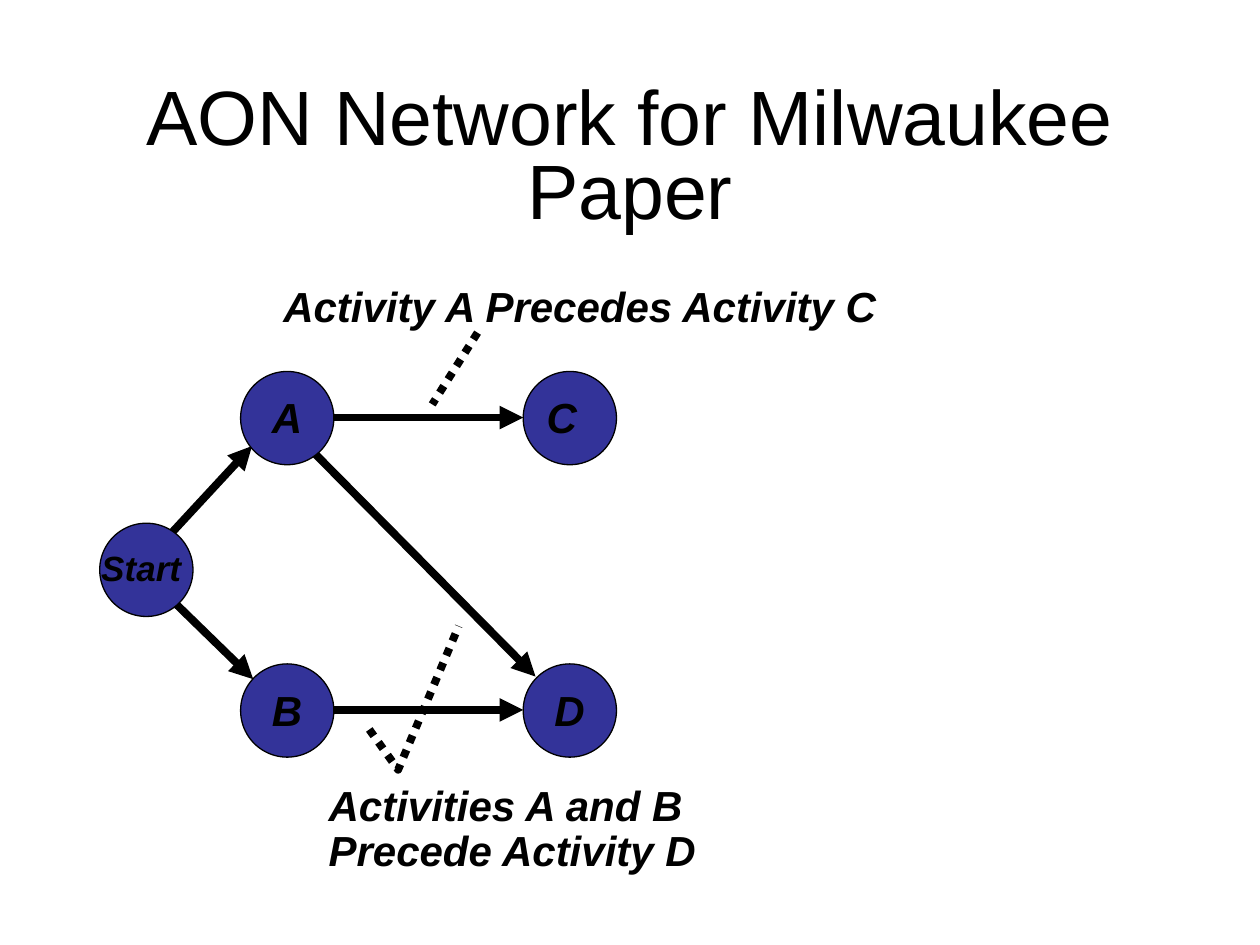
"""Build the activity-on-node network slide for Milwaukee Paper."""
from lxml import etree
from pptx import Presentation
from pptx.dml.color import RGBColor
from pptx.enum.dml import MSO_LINE
from pptx.enum.shapes import MSO_CONNECTOR, MSO_SHAPE
from pptx.enum.text import MSO_ANCHOR, PP_ALIGN
from pptx.oxml.ns import qn
from pptx.util import Pt

DOTTED = MSO_LINE.ROUND_DOT
STRAIGHT = MSO_CONNECTOR.STRAIGHT
ELLIPSE = MSO_SHAPE.OVAL
TOP, MIDDLE = MSO_ANCHOR.TOP, MSO_ANCHOR.MIDDLE
LEFT, CENTER = PP_ALIGN.LEFT, PP_ALIGN.CENTER

THEME = {
    "ink": RGBColor(0x00, 0x00, 0x00),
    "node": RGBColor(0x33, 0x33, 0x99),
    "font": "Arial",
    "title": 44,
    "label": 24,
    "start": 20,
    "arrow": 4.5,
    "outline": 0.75,
}
LABEL = {"size": Pt(THEME["label"]), "bold": True, "italic": True}
START = {**LABEL, "size": Pt(THEME["start"])}
TITLE = {"size": Pt(THEME["title"])}

DIAMETER = 53.3
COLUMNS = {"start": 57, "first": 137.5, "second": 299}
ROWS = {"upper": 212.3, "centre": 299, "lower": 379.4}

# name, column, row, label offset and size, wrap, format
NODES = [
    ("C", "second", "upper", (6.3, 8, 40.3, 36.7), True, LABEL),
    ("D", "second", "lower", (10.8, 8, 31.7, 36), False, LABEL),
    ("A", "first", "upper", (10.8, 8, 31.7, 36), False, LABEL),
    ("Start", "start", "centre", (-6.2, 10, 74.9, 31.7), True, START),
    ("B", "first", "lower", (10.8, 8, 31.7, 36), False, LABEL),
]
ARROWS = [
    ((179.3, 238.6), (299, 238.6)),
    ((172.8, 252), (306, 386.6)),
    ((178.6, 405.7), (299, 405.7)),
    ((91.4, 336.2), (144.7, 388.1)),
    ((90.7, 312.5), (144, 254.9)),
]
UPPER_POINTER = ((272.9, 190.1), (247, 231.1))
LOWER_POINTER = [(211, 416.9), (227.5, 439.9), (262.1, 357.8)]

# text, place, wrap, format, alignment, anchor, line spacing
TEXTS = [
    ("AON Network for Milwaukee Paper", (74.2, 36, 571.7, 110.9), True, TITLE, CENTER, MIDDLE, 0.8),
    ("Activity A Precedes Activity C", (154.8, 157, 356.4, 36), False, LABEL, LEFT, TOP, 1.0),
    ("Activities A and B Precede Activity D", (180.7, 445, 257, 59), True, LABEL, LEFT, TOP, 0.9),
]


def add_text(page, text, place, wrap, style, align=LEFT, anchor=TOP, spacing=1.0):
    box = page.shapes.add_textbox(*map(Pt, place))
    frame = box.text_frame
    frame.word_wrap = wrap
    frame.vertical_anchor = anchor
    para = frame.paragraphs[0]
    para.alignment = align
    para.line_spacing = spacing
    span = para.add_run()
    span.text = text
    span.font.name = THEME["font"]
    span.font.color.rgb = THEME["ink"]
    for key, value in style.items():
        setattr(span.font, key, value)


def set_line(shape, width, dash=None):
    shape.line.color.rgb = THEME["ink"]
    shape.line.width = Pt(width)
    if dash:
        shape.line.dash_style = dash


def add_line(page, start, end, dash=None, arrow=False):
    line = page.shapes.add_connector(STRAIGHT, *map(Pt, start + end))
    set_line(line, THEME["arrow"], dash)
    properties = line._element.spPr
    if arrow:
        etree.SubElement(properties.find(qn("a:ln")), qn("a:tailEnd"), type="triangle")
    etree.SubElement(properties, qn("a:effectLst"))


def add_node(page, name, column, row, label, wrap, style):
    left, top = COLUMNS[column], ROWS[row]
    circle = page.shapes.add_shape(ELLIPSE, *map(Pt, (left, top, DIAMETER, DIAMETER)))
    circle.shadow.inherit = False
    circle.fill.solid()
    circle.fill.fore_color.rgb = THEME["node"]
    set_line(circle, THEME["outline"])
    across, down, width, height = label
    add_text(page, name, (left + across, top + down, width, height), wrap, style)


def add_bent_pointer(page, points):
    first, *rest = [tuple(map(Pt, point)) for point in points]
    builder = page.shapes.build_freeform(*first)
    builder.add_line_segments(rest, close=False)
    pointer = builder.convert_to_shape()
    pointer.shadow.inherit = False
    pointer.fill.background()
    set_line(pointer, THEME["arrow"], DOTTED)


def main():
    deck = Presentation()
    deck.slide_width, deck.slide_height = Pt(720), Pt(540)
    page = deck.slides.add_slide(deck.slide_layouts[6])
    for start, end in ARROWS:
        add_line(page, start, end, arrow=True)
    for node in NODES:
        add_node(page, *node)
    for text in TEXTS:
        add_text(page, *text)
    add_line(page, *UPPER_POINTER, dash=DOTTED)
    add_bent_pointer(page, LOWER_POINTER)
    deck.save("out.pptx")


if __name__ == "__main__":
    main()
